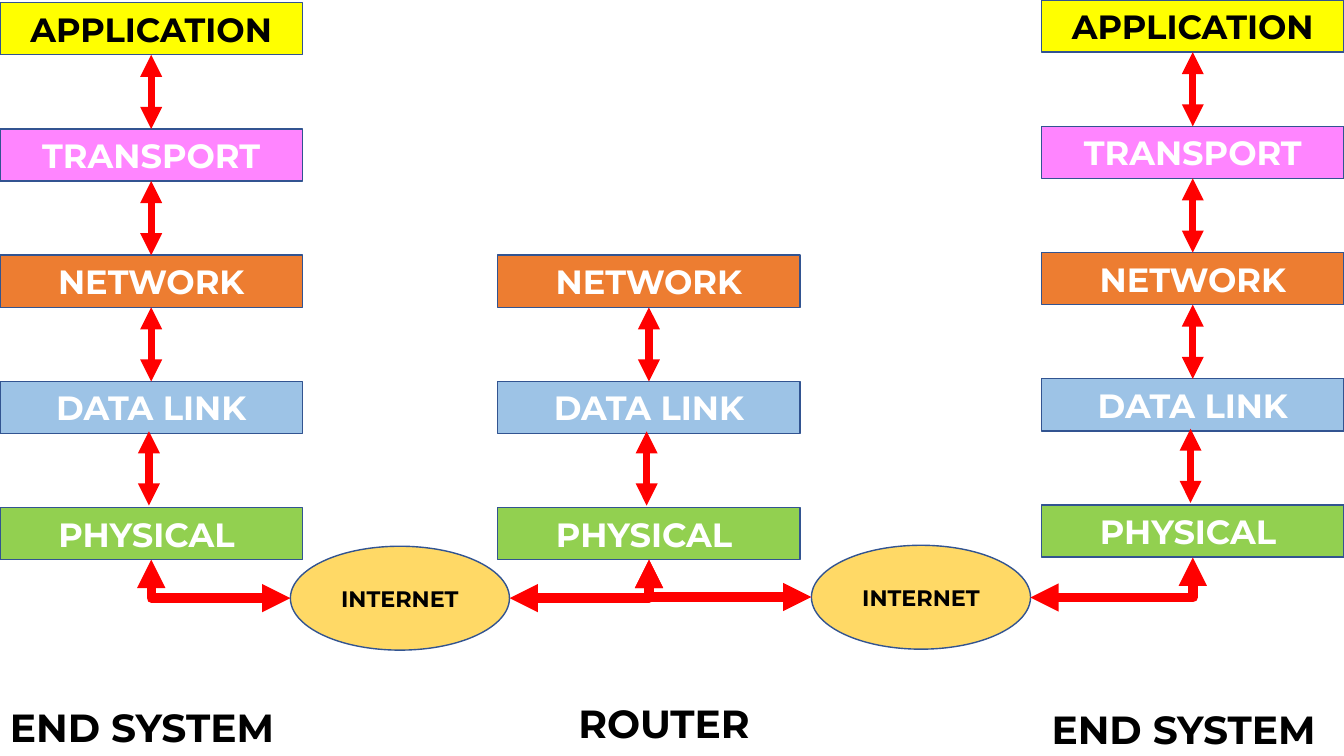
from dataclasses import dataclass

import lxml.etree
import pptx
import pptx.dml.color
import pptx.enum.shapes
import pptx.enum.text
import pptx.oxml.ns
import pptx.shapes.autoshape
import pptx.shapes.connector
import pptx.slide
import pptx.text.text
import pptx.util

Pt = pptx.util.Pt
RGBColor = pptx.dml.color.RGBColor
Shape = pptx.enum.shapes.MSO_SHAPE
Line = pptx.enum.shapes.MSO_CONNECTOR
qn = pptx.oxml.ns.qn

BLACK = RGBColor(0x00, 0x00, 0x00)
WHITE = RGBColor(0xFF, 0xFF, 0xFF)
YELLOW = RGBColor(0xFF, 0xFF, 0x00)
PINK = RGBColor(0xFF, 0x85, 0xFF)
ORANGE = RGBColor(0xED, 0x7D, 0x31)
BLUE = RGBColor(0x9D, 0xC3, 0xE6)
GREEN = RGBColor(0x92, 0xD0, 0x50)
GOLD = RGBColor(0xFF, 0xD9, 0x66)
OUTLINE = RGBColor(0x32, 0x54, 0x91)
RED = RGBColor(0xFF, 0x00, 0x00)

FONT = "Montserrat"
LAYER_WIDTH = 216
LAYER_HEIGHT = 37.2
LAYER_PITCH = 90.2
LAST_ARROW_SHIFT = -1.6
CLOUD_WIDTH = 156.5
CLOUD_HEIGHT = 74.2
LABEL_WIDTH = 231
LABEL_HEIGHT = 41


@dataclass(frozen=True)
class Layer:
    name: str
    fill: RGBColor
    text_color: RGBColor = WHITE


@dataclass(frozen=True)
class Stack:
    left: float
    top: float
    first_layer: int
    label: str
    label_left: float
    label_top: float


@dataclass(frozen=True)
class Cloud:
    left: float
    top: float


@dataclass(frozen=True)
class Elbow:
    start_x: float
    start_y: float
    end_x: float
    end_y: float


LAYERS = [
    Layer("APPLICATION", YELLOW, BLACK),
    Layer("TRANSPORT", PINK),
    Layer("NETWORK", ORANGE),
    Layer("DATA LINK", BLUE),
    Layer("PHYSICAL ", GREEN),
]
STACKS = [
    Stack(0, 1.9, 0, "END SYSTEM", 0, 499),
    Stack(744, 0, 0, "END SYSTEM", 744, 500.5),
    Stack(355.5, 1.9, 2, "ROUTER", 406, 496),
]
CLOUDS = [Cloud(207.4, 390.2), Cloud(579.6, 389.5)]
ELBOWS = [
    Elbow(108, 399.8, 207.4, 427.2),
    Elbow(463.6, 399.8, 579.6, 426.5),
    Elbow(463.6, 399.8, 364, 427.2),
    Elbow(852, 398.2, 736, 426.8),
]


def format_text(frame: pptx.text.text.TextFrame, text: str, size: float, color: RGBColor) -> None:
    frame.text = text
    frame.word_wrap = True
    font = frame.paragraphs[0].runs[0].font
    font.name = FONT
    font.size = Pt(size)
    font.bold = True
    font.color.rgb = color


def add_box(page: pptx.slide.Slide, kind: Shape, left: float, top: float, width: float, height: float,
            fill: RGBColor, text: str, size: float, color: RGBColor) -> pptx.shapes.autoshape.Shape:
    box = page.shapes.add_shape(kind, Pt(left), Pt(top), Pt(width), Pt(height))
    box.shadow.inherit = False
    box.fill.solid()
    box.fill.fore_color.rgb = fill
    box.line.color.rgb = OUTLINE
    box.line.width = Pt(1)
    format_text(box.text_frame, text, size, color)
    box.text_frame.vertical_anchor = pptx.enum.text.MSO_ANCHOR.MIDDLE
    box.text_frame.paragraphs[0].alignment = pptx.enum.text.PP_ALIGN.CENTER
    return box


def add_arrow(page: pptx.slide.Slide, kind: Line, start_x: float, start_y: float,
              end_x: float, end_y: float, weight: float) -> pptx.shapes.connector.Connector:
    arrow = page.shapes.add_connector(kind, Pt(start_x), Pt(start_y), Pt(end_x), Pt(end_y))
    arrow.line.color.rgb = RED
    arrow.line.width = Pt(weight)
    properties = arrow._element.spPr
    for end in ("a:headEnd", "a:tailEnd"):
        lxml.etree.SubElement(properties.find(qn("a:ln")), qn(end), type="triangle")
    lxml.etree.SubElement(properties, qn("a:effectLst"))
    return arrow


def add_elbow(page: pptx.slide.Slide, elbow: Elbow) -> None:
    across = abs(elbow.end_x - elbow.start_x)
    down = elbow.end_y - elbow.start_y
    left = (elbow.start_x + elbow.end_x - down) / 2
    top = (elbow.start_y + elbow.end_y - across) / 2
    arrow = add_arrow(page, Line.ELBOW, left, top, left + down, top + across, 6.75)
    properties = arrow._element.spPr
    properties.find(qn("a:prstGeom")).set("prst", "bentConnector2")
    frame = properties.find(qn("a:xfrm"))
    if elbow.end_x > elbow.start_x:
        frame.set("rot", str(270 * 60000))
        frame.set("flipH", "1")
    else:
        frame.set("rot", str(90 * 60000))


def add_stack(page: pptx.slide.Slide, stack: Stack) -> None:
    boxes = [
        add_box(page, Shape.RECTANGLE, stack.left, stack.top + row * LAYER_PITCH,
                LAYER_WIDTH, LAYER_HEIGHT, layer.fill, layer.name, 24, layer.text_color)
        for row, layer in enumerate(LAYERS)
        if row >= stack.first_layer
    ]
    center = stack.left + LAYER_WIDTH / 2
    last_gap = len(LAYERS) - 2
    for row in range(stack.first_layer, last_gap + 1):
        shift = LAST_ARROW_SHIFT if row == last_gap else 0
        start = stack.top + row * LAYER_PITCH + LAYER_HEIGHT + shift
        end = stack.top + (row + 1) * LAYER_PITCH + shift
        arrow = add_arrow(page, Line.STRAIGHT, center + shift, start, center + shift, end, 5.25)
        if row < last_gap:
            upper = row - stack.first_layer
            arrow.begin_connect(boxes[upper], 2)
            arrow.end_connect(boxes[upper + 1], 0)


def add_label(page: pptx.slide.Slide, stack: Stack) -> None:
    label = page.shapes.add_textbox(Pt(stack.label_left), Pt(stack.label_top), Pt(LABEL_WIDTH), Pt(LABEL_HEIGHT))
    format_text(label.text_frame, stack.label, 28, BLACK)
    label.text_frame.auto_size = pptx.enum.text.MSO_AUTO_SIZE.SHAPE_TO_FIT_TEXT


def main() -> None:
    deck = pptx.Presentation()
    deck.slide_width = Pt(960)
    deck.slide_height = Pt(540)
    page = deck.slides.add_slide(deck.slide_layouts.get_by_name("Blank"))
    for stack in STACKS:
        add_stack(page, stack)
    for cloud in CLOUDS:
        add_box(page, Shape.OVAL, cloud.left, cloud.top, CLOUD_WIDTH, CLOUD_HEIGHT, GOLD, "INTERNET", 16, BLACK)
    for elbow in ELBOWS:
        add_elbow(page, elbow)
    for stack in STACKS:
        add_label(page, stack)
    deck.save("out.pptx")


if __name__ == "__main__":
    main()
